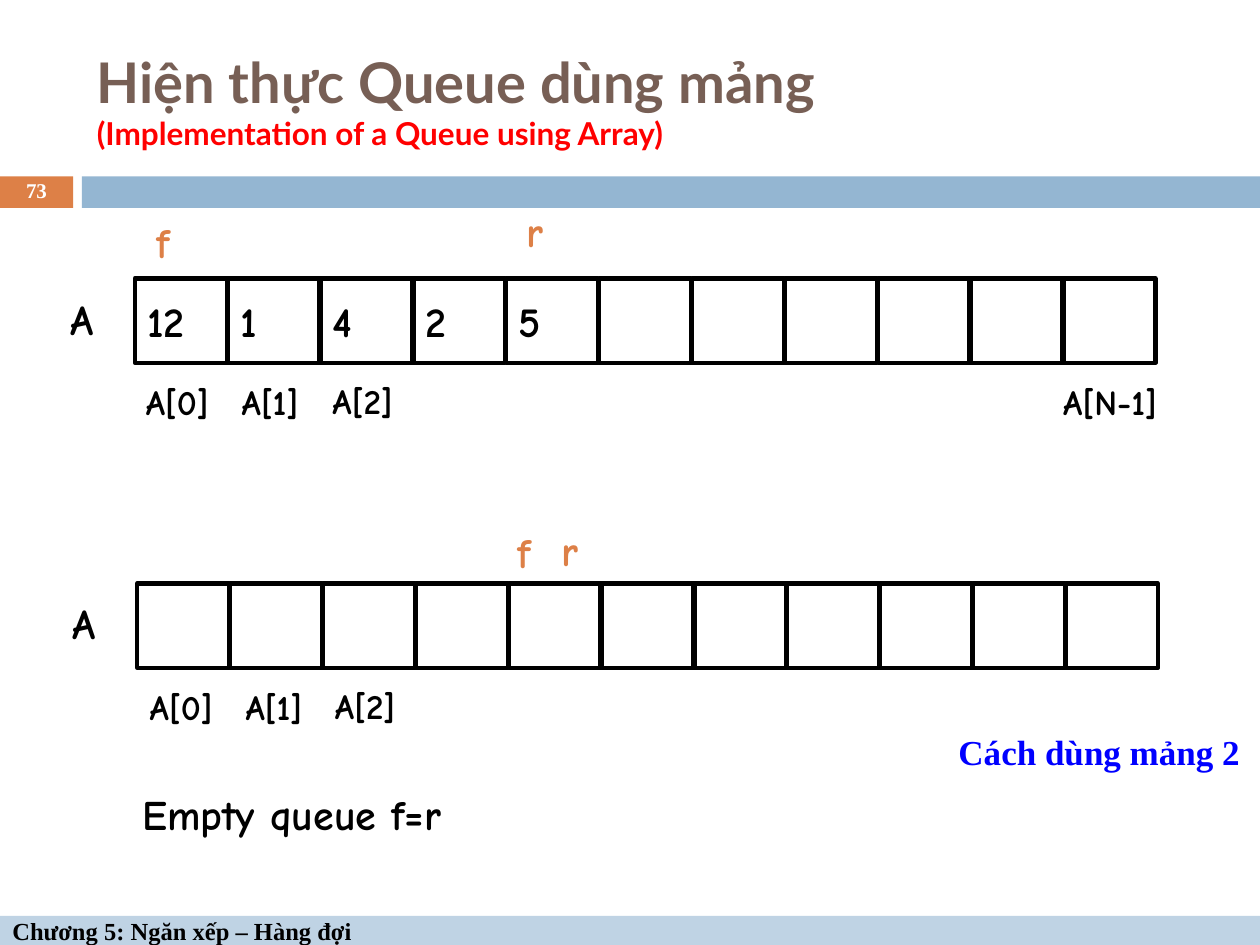
from pptx import Presentation
from pptx.dml.color import RGBColor
from pptx.enum.shapes import MSO_SHAPE
from pptx.enum.text import MSO_ANCHOR, PP_ALIGN
from pptx.util import Inches, Pt

RECT = MSO_SHAPE.RECTANGLE
TOP, MIDDLE = MSO_ANCHOR.TOP, MSO_ANCHOR.MIDDLE
LEFT, CENTER, RIGHT = PP_ALIGN.LEFT, PP_ALIGN.CENTER, PP_ALIGN.RIGHT
COMIC, LATO, TIMES = "Comic Neue", "Lato", "Times New Roman"

COLORS = {
    "black": "000000", "white": "FFFFFF", "brown": "775F55", "red": "FF0000",
    "blue": "0000FF", "orange": "DD8047", "band": "94B6D2", "footer": "BFD3E4",
}

TITLE = [("Hiện thực Queue dùng mảng", 32, "brown"),
         ("(Implementation of a Queue using Array)", 18, "red")]
PAGE_NUMBER = "73"
CHAPTER = "Chương 5: Ngăn xếp – Hàng đợi"
METHOD = "Cách dùng mảng 2"
EMPTY_RULE = "Empty queue f=r"

# Labels are (text, left, top, width)
QUEUES = [
    {"left": 1.07, "top": 2.21, "values": ["12", "1", "4", "2", "5"],
     "name": ("A", 0.46, 2.28, 0.76),
     "indexes": [("A[0]", 1.06, 2.97, 1.03), ("A[1]", 1.82, 2.97, 0.93),
                 ("A[2]", 2.54, 2.96, 0.88), ("A[N-1]", 8.34, 2.97, 1.54)],
     "pointers": [("r", 4.08, 1.58, 0.72), ("f", 1.14, 1.67, 0.72)]},
    {"left": 1.09, "top": 4.63, "values": [],
     "name": ("A", 0.48, 4.69, 0.76),
     "indexes": [("A[0]", 1.09, 5.39, 1.03), ("A[1]", 1.85, 5.39, 0.82),
                 ("A[2]", 2.56, 5.38, 0.88)],
     "pointers": [("r", 4.36, 4.11, 0.72), ("f", 4.01, 4.13, 0.72)]},
]
CELL_COUNT = 11
CELL_WIDTH, CELL_HEIGHT = 0.73, 0.67
CELL_PITCH = 7.37 / (CELL_COUNT - 1)


def color(name):
    """Return the named colour."""
    return RGBColor.from_string(COLORS[name])


def write(shape, text, size, font=COMIC, ink="black", align=LEFT,
          anchor=MIDDLE, wrap=True, before=0):
    """Put one bold paragraph into a shape and return the paragraph."""
    frame = shape.text_frame
    frame.word_wrap = wrap
    frame.vertical_anchor = anchor
    paragraph = frame.paragraphs[0]
    paragraph.text = text
    paragraph.alignment = align
    paragraph.space_before = Pt(before)
    paragraph.font.name = font
    paragraph.font.size = Pt(size)
    paragraph.font.bold = True
    paragraph.font.color.rgb = color(ink)
    return paragraph


def add_rect(slide, left, top, width, height, fill=None):
    """Add a filled bar, or an outlined cell when no fill is given."""
    rect = slide.shapes.add_shape(RECT, Inches(left), Inches(top),
                                  Inches(width), Inches(height))
    rect.shadow.inherit = False
    if fill:
        rect.fill.solid()
        rect.fill.fore_color.rgb = color(fill)
        rect.line.fill.background()
    else:
        rect.fill.background()
        rect.line.color.rgb = color("black")
        rect.line.width = Pt(2.5)
    return rect


def add_box(slide, left, top, width, height):
    """Add an empty text box."""
    return slide.shapes.add_textbox(Inches(left), Inches(top),
                                    Inches(width), Inches(height))


def add_label(slide, label, size=24, ink="black"):
    """Add a label whose height and spacing follow its text size."""
    text, left, top, width = label
    box = add_box(slide, left, top, width, 0.5 if size == 24 else 0.44)
    write(box, text, size, ink=ink, anchor=TOP, before=size * 0.625)


def add_queue(slide, queue):
    """Draw one array with its values, name, indexes and pointers."""
    for i in range(CELL_COUNT):
        cell = add_rect(slide, queue["left"] + i * CELL_PITCH, queue["top"],
                        CELL_WIDTH, CELL_HEIGHT)
        if i < len(queue["values"]):
            write(cell, queue["values"][i], 24, wrap=False)
    add_label(slide, queue["name"])
    for index in queue["indexes"]:
        add_label(slide, index, size=20)
    for pointer in queue["pointers"]:
        add_label(slide, pointer, ink="orange")


def add_title(slide):
    """Add the two-line title."""
    box = add_box(slide, 0.67, 0.25, 8.92, 1.08)
    paragraph = write(box, "", 32, font=LATO, ink="brown")
    for i, (text, size, ink) in enumerate(TITLE):
        if i:
            paragraph.add_line_break()
        run = paragraph.add_run()
        run.text = text
        run.font.size = Pt(size)
        run.font.color.rgb = color(ink)


prs = Presentation()
prs.slide_width, prs.slide_height = Inches(10), Inches(7.5)
slide = prs.slides.add_slide(prs.slide_layouts[6])

add_rect(slide, 0, 1.4, 0.58, 0.25, "orange")
add_rect(slide, 0.65, 1.4, 9.35, 0.25, "band")
footer = add_rect(slide, 0, 7.27, 10, 0.23, "footer")
write(footer, CHAPTER, 14, font=TIMES)
add_title(slide)
page_number = write(add_box(slide, 0, 1.39, 0.58, 0.27), PAGE_NUMBER, 12,
                    font=TIMES, ink="white", align=CENTER)
page_number.line_spacing = 0.8

for queue in QUEUES:
    add_queue(slide, queue)

add_label(slide, (EMPTY_RULE, 1.03, 6.21, 8.85))
write(add_box(slide, 7.44, 5.75, 2.5, 0.44), METHOD, 20, font=TIMES,
      ink="blue", align=RIGHT, anchor=TOP)

prs.save("out.pptx")
